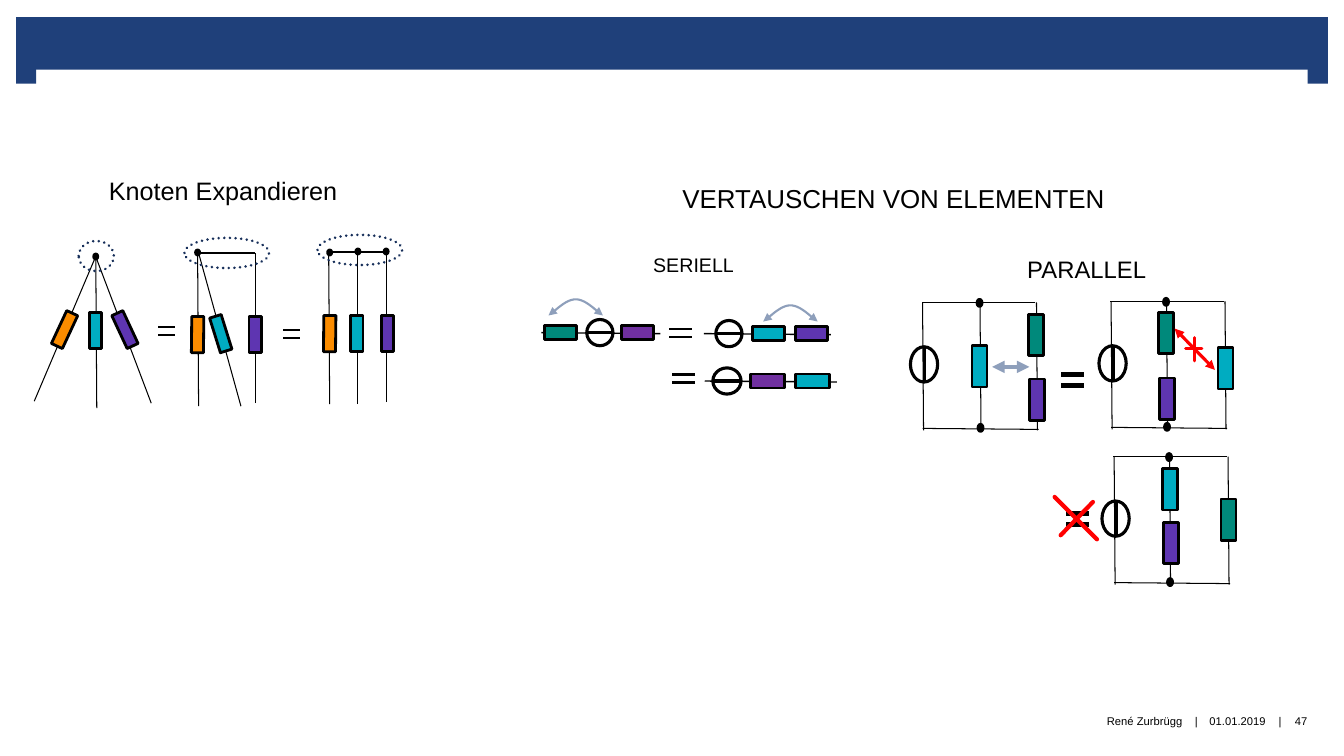
from dataclasses import dataclass

from lxml import etree
from pptx import Presentation
from pptx.dml.color import RGBColor
from pptx.enum.dml import MSO_LINE
from pptx.enum.shapes import MSO_CONNECTOR, MSO_SHAPE
from pptx.enum.text import MSO_ANCHOR, MSO_AUTO_SIZE, PP_ALIGN
from pptx.oxml.ns import qn
from pptx.util import Inches, Pt

RECT, OVAL, EQUAL = MSO_SHAPE.RECTANGLE, MSO_SHAPE.OVAL, MSO_SHAPE.MATH_EQUAL
LEFT, CENTER, RIGHT = PP_ALIGN.LEFT, PP_ALIGN.CENTER, PP_ALIGN.RIGHT
TOP, MIDDLE, BOTTOM = MSO_ANCHOR.TOP, MSO_ANCHOR.MIDDLE, MSO_ANCHOR.BOTTOM


@dataclass(frozen=True)
class Theme:
    font: str = "Arial"
    banner: str = "1F407A"
    ink: str = "000000"
    paper: str = "FFFFFF"
    dots: str = "172F5A"
    swap: str = "8E9FBB"
    wrong: str = "FF0000"
    orange: str = "FB8C00"
    cyan: str = "00ACC1"
    violet: str = "5E35B1"
    green: str = "00897B"
    purple: str = "7030A0"
    heading: float = 18
    wide_heading: float = 18.5
    parallel: float = 17
    serial: float = 14
    footer: float = 8


T = Theme()

# Content: all lengths in inches
BANNER = [(0.16, 0.17, 13.01, 0.52), (0.16, 0.65, 0.2, 0.18), (12.97, 0.65, 0.2, 0.18)]
FOOTER = [("|", 12.62, 0.15, CENTER), ("|", 11.79, 0.15, CENTER),
          ("01.01.2019", 11.94, 0.67, CENTER), ("René Zurbrügg", 6.66, 5.07, RIGHT),
          ("47", 12.71, 0.39, CENTER)]
HEADINGS = [("VERTAUSCHEN VON ELEMENTEN", (6.67, 1.7, 4.69, 0.46), T.wide_heading, 1.2),
            ("SERIELL", (6.38, 2.46, 1.06, 0.46), T.serial, 1.0),
            ("PARALLEL", (10.09, 2.45, 1.5, 0.46), T.parallel, 1.1)]
# Node steps: wires (from, to), elements (left, top, turn), dots, dotted outline
NODE_STEPS = [
    dict(wires=[(0.34, 3.98, 0.96, 2.52), (1.5, 4, 0.94, 2.52), (0.96, 4.05, 0.95, 2.56)],
         elements=[(0.58, 3.09, 25), (0.89, 3.1, 0), (1.18, 3.09, 335)],
         dots=[(0.93, 2.52)], outline=(0.78, 2.39, 0.35, 0.3)),
    dict(wires=[(1.97, 4.03, 1.96, 2.51), (2.53, 4, 2.53, 2.51), (2.39, 4.03, 1.97, 2.51),
                (2.53, 2.51, 1.96, 2.51)],
         elements=[(1.9, 3.14, 0.6), (2.13, 3.13, 342.7), (2.47, 3.14, 0)],
         dots=[(1.94, 2.48)], outline=(1.83, 2.36, 0.84, 0.3)),
    dict(wires=[(3.27, 4.01, 3.26, 2.5), (3.83, 3.99, 3.83, 2.5), (3.55, 4.01, 3.55, 2.5),
                (3.83, 2.5, 3.26, 2.5)],
         elements=[(3.21, 3.13, 0.6), (3.48, 3.13, 0), (3.78, 3.13, 0)],
         dots=[(3.25, 2.48), (3.53, 2.47), (3.81, 2.47)], outline=(3.15, 2.33, 0.84, 0.3)),
]
# Series rows: wire left, right, height; source left, width; element length, centres
SERIES_ROWS = [
    (5.37, 6.55, 3.3, 5.82, 0.26, 0.32, [(5.56, T.green), (6.32, T.purple)]),
    (6.98, 8.24, 3.31, 7.1, 0.26, 0.32, [(7.62, T.cyan), (8.05, T.violet)]),
    (6.99, 8.3, 3.78, 7.07, 0.28, 0.34, [(7.61, T.purple), (8.06, T.cyan)]),
]
# Parallel loops: left, top, middle branch offset, elements (left, top, colour)
LOOPS = [
    (9.15, 3.0, 0.57, [(9.64, 3.43, T.cyan), (10.2, 3.12, T.green), (10.21, 3.76, T.violet)]),
    (11.02, 2.99, 0.55, [(12.08, 3.45, T.cyan), (11.49, 3.1, T.green), (11.5, 3.75, T.violet)]),
    (11.05, 4.53, 0.55, [(11.53, 4.65, T.cyan), (12.11, 4.95, T.green), (11.54, 5.18, T.violet)]),
]
EQUALS = [(1.52, 3.18, 0.27, 0.21), (2.76, 3.21, 0.27, 0.21), (6.58, 3.19, 0.34, 0.23),
          (6.6, 3.64, 0.36, 0.23), (10.46, 3.61, 0.35, 0.32), (10.51, 4.99, 0.35, 0.32)]
SWAP_ARCS = [(5.47, 2.97), (7.6, 3.03)]
CROSS_OUT = [((11.92, 3.46, 11.76, 3.46), 2.25), ((11.85, 3.35, 11.85, 3.58), 2.25),
             ((10.84, 4.98, 10.52, 5.31), 3), ((10.46, 4.93, 10.88, 5.35), 3)]

deck = Presentation()
deck.slide_width, deck.slide_height = Inches(13.33), Inches(7.5)
page = deck.slides.add_slide(deck.slide_layouts[5])


def color(code):
    return RGBColor.from_string(code)


def write(box, text, size, align=LEFT, anchor=TOP, margins=(0.1, 0.05, 0.1, 0.05),
          before=0, spacing=1.0):
    frame = box.text_frame
    frame.auto_size, frame.word_wrap = MSO_AUTO_SIZE.NONE, True
    frame.vertical_anchor = anchor
    (frame.margin_left, frame.margin_top,
     frame.margin_right, frame.margin_bottom) = map(Inches, margins)
    para = frame.paragraphs[0]
    para.alignment, para.space_before, para.line_spacing = align, Pt(before), spacing
    span = para.add_run()
    span.text = text
    span.font.name, span.font.size = T.font, Pt(size)
    span.font.color.rgb = color(T.ink)


def style(shape, fill=None, line=T.ink, width=2):
    shape.shadow.inherit = False
    if fill:
        shape.fill.solid()
        shape.fill.fore_color.rgb = color(fill)
    else:
        shape.fill.background()
    if line:
        shape.line.color.rgb = color(line)
        shape.line.width = Pt(width)
    else:
        shape.line.fill.background()


def draw(kind, at, turn=0, **look):
    shape = page.shapes.add_shape(kind, *map(Inches, at))
    shape.rotation = turn
    style(shape, **look)
    return shape


def wire(ends, line=T.ink, width=0.75, arrows=(), rounded=False):
    link = page.shapes.add_connector(MSO_CONNECTOR.STRAIGHT, *map(Inches, ends))
    link.line.color.rgb = color(line)
    link.line.width = Pt(width)
    properties = link._element.spPr
    outline = properties.find(qn("a:ln"))
    if rounded:
        outline.set("cap", "rnd")
    for end in arrows:
        etree.SubElement(outline, qn("a:" + end), type="triangle")
    etree.SubElement(properties, qn("a:effectLst"))


def swap_arc(left, top, width=0.48, height=0.14, steps=24):
    """Arch from two mirrored cubic halves, with an arrowhead at each foot."""
    points = []
    for step in range(steps + 1):
        t = step / steps
        rise = 3 * t * (1 - t) ** 2 * 0.5 + 3 * t ** 2 * (1 - t) + t ** 3
        points.append((left + t * width / 2, top + height * (1 - rise)))
    points += [(2 * left + width - x, y) for x, y in points[-2::-1]]
    points = [(Inches(x), Inches(y)) for x, y in points]
    builder = page.shapes.build_freeform(*points[0])
    builder.add_line_segments(points[1:], close=False)
    style(builder.convert_to_shape(), line=T.swap, width=1.5)
    for foot, way in ((left, -1), (left + width, 1)):
        wire((foot - way * 0.02, top + 0.12, foot + way * 0.03, top + 0.16),
             line=T.swap, width=1.5, arrows=["tailEnd"])


# Banner, headings and footer
for at in BANNER:
    draw(RECT, at, fill=T.banner, line=None)
title = page.shapes.title
title.left, title.top, title.width, title.height = map(Inches, (0.92, 1.7, 2.82, 0.46))
write(title, "Knoten Expandieren", T.heading, anchor=BOTTOM, margins=(0.16, 0, 0.16, 0.12), before=5)
for text, at, size, spacing in HEADINGS:
    write(page.shapes.add_textbox(*map(Inches, at)), text, size, before=10, spacing=spacing)
for text, left, width, align in FOOTER:
    box = page.shapes.add_textbox(*map(Inches, (left, 6.9, width, 0.5)))
    write(box, text, T.footer, align=align, anchor=MIDDLE, margins=(0, 0, 0, 0))

# Expanding a node
for step in NODE_STEPS:
    for ends in step["wires"]:
        wire(ends)
    for (left, top, turn), fill in zip(step["elements"], (T.orange, T.cyan, T.violet)):
        draw(RECT, (left, top, 0.12, 0.36), turn=turn, fill=fill)
    for left, top in step["dots"]:
        draw(OVAL, (left, top, 0.04, 0.05), fill=T.ink)
    outline = draw(OVAL, step["outline"], line=T.dots)
    outline.line.dash_style = MSO_LINE.ROUND_DOT
    outline._element.spPr.find(qn("a:ln")).set("cap", "rnd")

# Equal signs
for at in EQUALS:
    draw(EQUAL, at, fill=T.ink, line=T.paper)

# Swapping in series
for start, end, y, source, width, length, elements in SERIES_ROWS:
    wire((end, y + 0.01, start, y), width=1)
    draw(OVAL, (source, y - 0.13, width, 0.26), width=2.25)
    wire((source + width, y, source, y), width=2.25)
    for center, fill in elements:
        draw(RECT, (center - 0.07, y - length / 2, 0.14, length), turn=90, fill=fill)
for left, top in SWAP_ARCS:
    swap_arc(left, top)

# Swapping in parallel
for left, top, middle, elements in LOOPS:
    for x in (left, left + middle, left + 1.13):
        wire((x + 0.01, top + 1.27, x, top))
    wire((left + 1.12, top, left - 0.01, top))
    wire((left, top + 1.25, left + 1.15, top + 1.26))
    for x, y in ((middle - 0.03, -0.03), (middle - 0.02, 1.21)):
        draw(OVAL, (left + x, top + y, 0.05, 0.07), fill=T.ink)
    for x, y, fill in elements:
        draw(RECT, (x, y, 0.15, 0.41), fill=fill)
    draw(OVAL, (left - 0.12, top + 0.44, 0.27, 0.35), width=2.25)
    wire((left + 0.02, top + 0.79, left + 0.02, top + 0.43), width=2.25)

# Allowed and forbidden swaps
both = ("headEnd", "tailEnd")
wire((9.84, 3.64, 10.21, 3.64), line=T.swap, width=3, arrows=both)
wire((11.65, 3.26, 12.05, 3.67), line=T.wrong, width=2.25, arrows=both)
for ends, width in CROSS_OUT:
    wire(ends, line=T.wrong, width=width, rounded=True)

deck.save("out.pptx")
